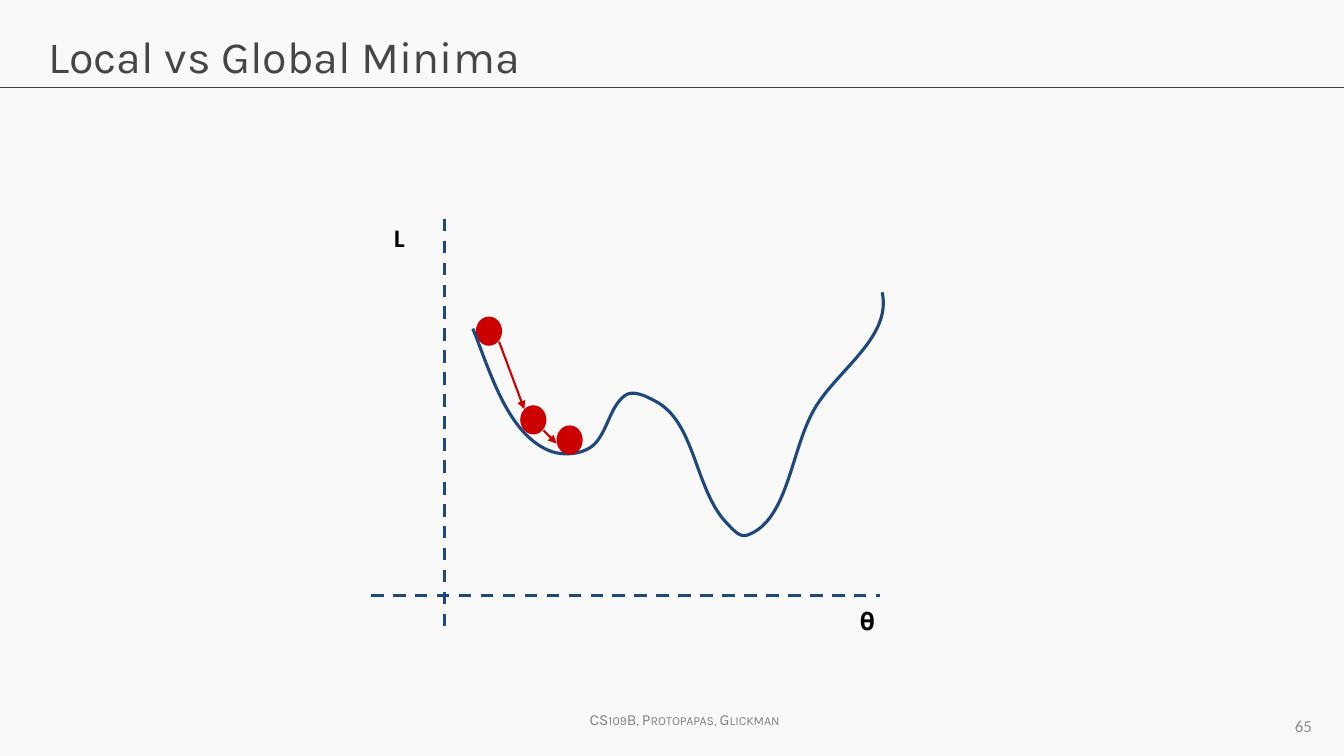
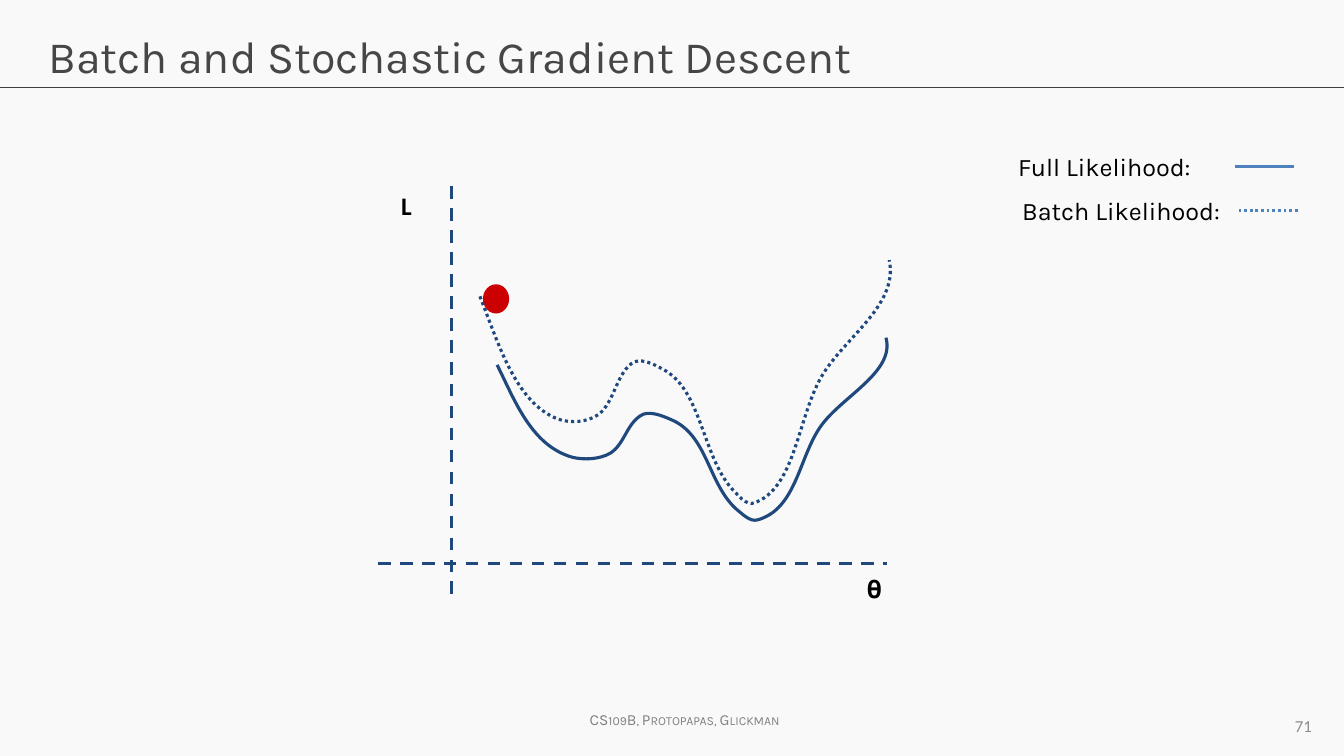
from pptx import Presentation
from pptx.dml.color import RGBColor
from pptx.enum.dml import MSO_LINE
from pptx.enum.shapes import MSO_CONNECTOR, MSO_SHAPE
from pptx.enum.text import MSO_ANCHOR, MSO_AUTO_SIZE, PP_ALIGN
from pptx.oxml.ns import qn
from pptx.util import Inches, Pt
from lxml import etree

DASH, DOT = MSO_LINE.DASH, MSO_LINE.ROUND_DOT
LINE, OVAL = MSO_CONNECTOR.STRAIGHT, MSO_SHAPE.OVAL
TOP, MIDDLE = MSO_ANCHOR.TOP, MSO_ANCHOR.MIDDLE
LEFT, RIGHT = PP_ALIGN.LEFT, PP_ALIGN.RIGHT
GROW, FIXED = MSO_AUTO_SIZE.SHAPE_TO_FIT_TEXT, MSO_AUTO_SIZE.NONE

NAVY, RED, BLUE, BLACK = "1F497D", "CC0000", "4F81BD", "000000"
PAPER, RULE, HEAD, FOOT, PAGE = "F9F9F9", "404040", "464646", "808080", "8C8C8C"
KARLA, CALIBRI = "Karla", "Calibri"

START = (0, 0.36)
BENDS = [
    ((0.18, 0.81), (0.35, 1.42), (0.78, 1.58)),
    ((0.9, 1.62), (1.07, 1.61), (1.18, 1.53)),
    ((1.33, 1.41), (1.35, 1.15), (1.5, 1.03)),
    ((1.58, 0.96), (1.72, 1.03), (1.81, 1.08)),
    ((2.2, 1.28), (2.2, 1.93), (2.5, 2.27)),
    ((2.56, 2.33), (2.64, 2.44), (2.72, 2.41)),
    ((3.12, 2.27), (3.15, 1.6), (3.37, 1.19)),
    ((3.58, 0.79), (4.16, 0.46), (4.06, 0)),
]


def color(code):
    return RGBColor.from_string(code)


class Deck:
    def __init__(self):
        self.file = Presentation()
        self.file.slide_width = Inches(13.33)
        self.file.slide_height = Inches(7.5)
        self.slide = None

    def start(self, title, page):
        self.slide = self.file.slides.add_slide(self.file.slide_layouts[6])
        fill = self.slide.background.fill
        fill.solid()
        fill.fore_color.rgb = color(PAPER)
        self.line((0, 0.87), (13.33, 0.87), RULE, 0.75)
        foot = self.text("CS109B, Protopapas, Glickman", (5.75, 7, 2.19, 0.29),
                         11, KARLA, FOOT, grow=True)
        foot.font._element.set("cap", "small")
        self.text(title, (0.38, 0.24, 12.57, 0.84), 32, KARLA, HEAD)
        self.text(page, (10, 7, 3.11, 0.4), 12, CALIBRI, PAGE,
                  align=RIGHT, anchor=MIDDLE)

    def text(self, words, box, size, face, ink, bold=False, grow=False,
             align=LEFT, anchor=TOP, inset=0.05):
        frame = self.slide.shapes.add_textbox(*map(Inches, box)).text_frame
        frame.word_wrap = not grow
        frame.auto_size = GROW if grow else FIXED
        frame.vertical_anchor = anchor
        frame.margin_top = frame.margin_bottom = Inches(inset)
        para = frame.paragraphs[0]
        para.alignment = align
        run = para.add_run()
        run.text = words
        font = run.font
        font.name, font.size, font.bold = face, Pt(size), bold
        font.color.rgb = color(ink)
        return run

    def stroke(self, line, ink, width, dash):
        line.color.rgb = color(ink)
        line.width = Pt(width)
        if dash:
            line.dash_style = dash

    def line(self, start, end, ink, width, dash=None, arrow=False):
        link = self.slide.shapes.add_connector(LINE, *map(Inches, (*start, *end)))
        self.stroke(link.line, ink, width, dash)
        props = link._element.spPr
        if arrow:
            etree.SubElement(props.find(qn("a:ln")), qn("a:tailEnd"), type="triangle")
        etree.SubElement(props, qn("a:effectLst"))

    def ball(self, x, y):
        ball = self.slide.shapes.add_shape(OVAL, *map(Inches, (x, y, 0.26, 0.29)))
        ball.shadow.inherit = False
        ball.fill.solid()
        ball.fill.fore_color.rgb = color(RED)
        ball.line.fill.background()

    def curve(self, x, y, wide=1, tall=1, dash=None):
        def scale(point):
            return Inches(wide * point[0]), Inches(tall * point[1])

        pen = self.slide.shapes.build_freeform(*scale(START))
        pen.add_line_segments([scale(bend[-1]) for bend in BENDS], close=False)
        shape = pen.convert_to_shape(Inches(x), Inches(y))
        parts = list(shape._element.iter(qn("a:lnTo")))
        for part, bend in zip(parts, BENDS):
            part.tag = qn("a:cubicBezTo")
            for spot, pull in enumerate(bend[:2]):
                across, down = scale(pull)
                part.insert(spot, etree.Element(qn("a:pt"), x=str(int(across)),
                                                y=str(int(down))))
        shape.shadow.inherit = False
        shape.fill.background()
        self.stroke(shape.line, NAVY, 2.25, dash)

    def plot(self, x, y, dash=None):
        self.line((x, y - 3.74), (x, y + 0.38), NAVY, 2.25, DASH)
        self.line((x - 0.73, y), (x + 4.32, y), NAVY, 2.25, DASH)
        self.text("L", (x - 0.6, y - 3.8, 0.6, 0.7), 18, CALIBRI, BLACK,
                  bold=True, inset=0.1)
        self.text("𝛉", (x + 4.02, y, 0.6, 0.7), 18, CALIBRI, BLACK, inset=0.1)
        self.ball(x + 0.31, y - 2.77)
        self.curve(x + 0.28, y - 3.01, dash=dash)

    def key(self, words, x, y, width, dash=None):
        self.text(words, (x, y, width, 0.4), 18, KARLA, BLACK, grow=True)
        left = x + 2.25
        self.line((left + 0.58, y + 0.2), (left, y + 0.2), BLUE, 2, dash)


def main():
    deck = Deck()

    deck.start("Local vs Global Minima", "65")
    deck.plot(4.41, 5.91)
    deck.ball(5.16, 4.02)
    deck.ball(5.52, 4.22)
    deck.line((4.95, 3.39), (5.2, 4.06), RED, 1.5, arrow=True)
    deck.line((5.39, 4.27), (5.52, 4.4), RED, 1.5, arrow=True)

    deck.start("Batch and Stochastic Gradient Descent", "71")
    deck.plot(4.48, 5.59, DOT)
    deck.curve(4.93, 3.35, 0.95, 0.75)
    deck.key("Full Likelihood:", 10, 1.45, 1.99)
    deck.key("Batch Likelihood:", 10.04, 1.89, 2.25, DOT)

    deck.file.save("out.pptx")


if __name__ == "__main__":
    main()
